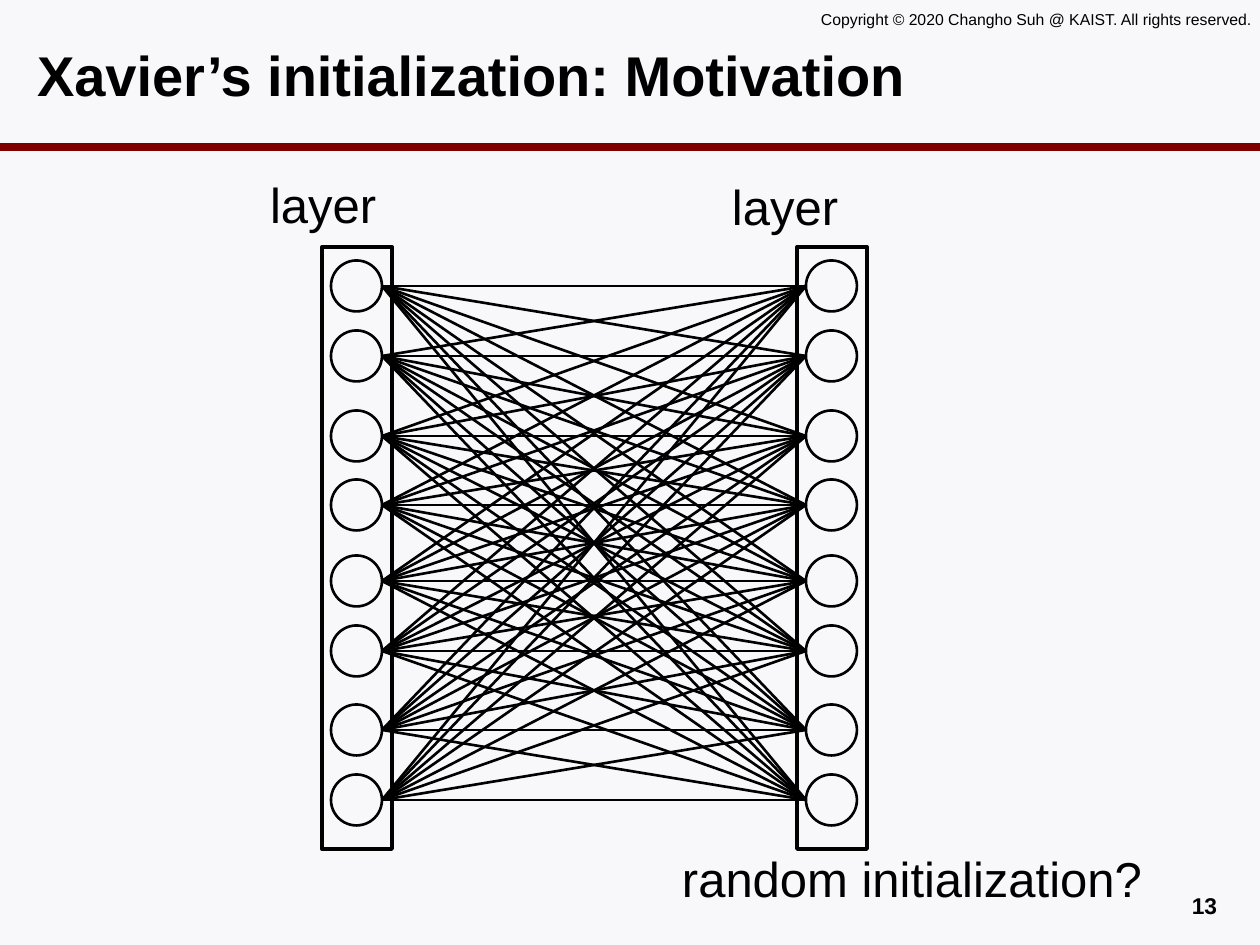
import dataclasses
import itertools

import lxml.etree
import pptx
import pptx.dml.color
import pptx.enum.shapes
import pptx.enum.text
import pptx.oxml.ns
import pptx.util

EMU_PER_PX = 914400 / 126
ALIGN = pptx.enum.text.PP_ALIGN
ANCHOR = pptx.enum.text.MSO_ANCHOR
SHAPE = pptx.enum.shapes.MSO_SHAPE


def px(length):
    return pptx.util.Emu(round(length * EMU_PER_PX))


def rgb(code):
    return pptx.dml.color.RGBColor.from_string(code)


@dataclasses.dataclass(frozen=True)
class Theme:
    font: str = "Arial"
    background: str = "F8F8FA"
    ink: str = "000000"
    rule: str = "800000"
    title_size: int = 32
    label_size: int = 28
    number_size: int = 13
    copyright_size: int = 9
    rule_width: float = 4.5
    layer_width: float = 2.25
    thin_width: float = 1.5


class SlideBuilder:
    def __init__(self, slide, theme):
        self.slide = slide
        self.theme = theme
        slide.background.fill.solid()
        slide.background.fill.fore_color.rgb = rgb(theme.background)

    def text(self, words, left, top, width, height, size, bold=False,
             align=ALIGN.LEFT, anchor=ANCHOR.TOP, inset_top=6):
        box = self.slide.shapes.add_textbox(
            px(left), px(top), px(width), px(height))
        frame = box.text_frame
        frame_format = {
            "word_wrap": True, "vertical_anchor": anchor,
            "margin_left": px(12), "margin_right": px(12),
            "margin_top": px(inset_top), "margin_bottom": px(6),
        }
        for name, value in frame_format.items():
            setattr(frame, name, value)
        paragraph = frame.paragraphs[0]
        paragraph.alignment = align
        run = paragraph.add_run()
        run.text = words
        font_format = {"name": self.theme.font, "bold": bold,
                       "size": pptx.util.Pt(size)}
        for name, value in font_format.items():
            setattr(run.font, name, value)
        run.font.color.rgb = rgb(self.theme.ink)

    def outline(self, kind, left, top, width, height, weight):
        """Add an unfilled preset shape."""
        shape = self.slide.shapes.add_shape(
            kind, px(left), px(top), px(width), px(height))
        shape.shadow.inherit = False
        shape.fill.background()
        shape.line.color.rgb = rgb(self.theme.ink)
        shape.line.width = pptx.util.Pt(weight)

    def line(self, start, end, color, weight):
        connector = self.slide.shapes.add_connector(
            pptx.enum.shapes.MSO_CONNECTOR.STRAIGHT,
            *map(px, (*start, *end)))
        connector.line.color.rgb = rgb(color)
        connector.line.width = pptx.util.Pt(weight)
        lxml.etree.SubElement(connector._element.spPr,
                              pptx.oxml.ns.qn("a:effectLst"))


def draw_network(builder):
    """Draw two layers of neurons, every neuron joined to all opposite."""
    theme = builder.theme
    layer_lefts = (322, 797)
    neuron_rows = (286, 356, 436, 505, 581, 651, 730, 800)
    neuron_size, neuron_inset = 51, 9

    for layer_left in layer_lefts:
        builder.outline(SHAPE.RECTANGLE, layer_left, 247, 70, 602,
                        theme.layer_width)
        for row in neuron_rows:
            builder.outline(SHAPE.OVAL, layer_left + neuron_inset,
                            row - neuron_size / 2, neuron_size, neuron_size,
                            theme.thin_width)

    source_x = layer_lefts[0] + neuron_inset + neuron_size
    target_x = layer_lefts[1] + neuron_inset
    for source_y, target_y in itertools.product(neuron_rows, repeat=2):
        builder.line((source_x, source_y), (target_x, target_y),
                     theme.ink, theme.thin_width)


def main():
    deck = pptx.Presentation()
    deck.slide_width, deck.slide_height = px(1260), px(945)
    theme = Theme()
    builder = SlideBuilder(deck.slides.add_slide(deck.slide_layouts[6]), theme)

    builder.line((0, 147), (1260, 147), theme.rule, theme.rule_width)
    builder.text("Copyright © 2020 Changho Suh @ KAIST. All rights reserved.",
                 809, 4, 470, 32, theme.copyright_size)
    builder.text("Xavier’s initialization: Motivation", 25, 22, 1205, 105,
                 theme.title_size, bold=True, anchor=ANCHOR.MIDDLE)
    builder.text("13", 935, 886, 294, 34, theme.number_size, bold=True,
                 align=ALIGN.RIGHT)

    draw_network(builder)
    labels = (("layer", 258, 164, 158), ("layer", 720, 166, 142),
              ("random initialization?", 670, 838, 525))
    for words, left, top, width in labels:
        builder.text(words, left, top, width, 73, theme.label_size,
                     inset_top=11)

    deck.save("out.pptx")


if __name__ == "__main__":
    main()
